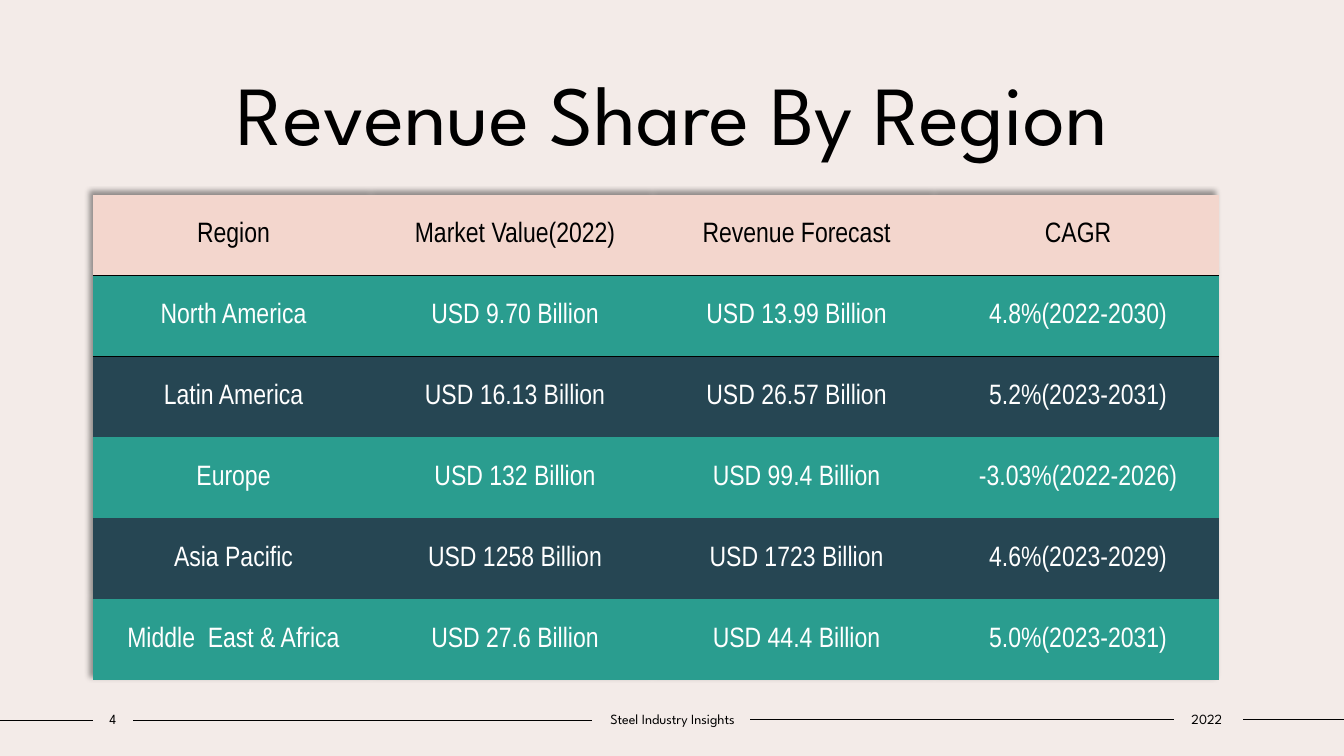
"""Build the steel revenue by region slide."""
from lxml import etree
from pptx import Presentation
from pptx import util as u
from pptx.dml.color import RGBColor
from pptx.enum import shapes, text
from pptx.oxml import parse_xml
from pptx.oxml.ns import qn

BLACK = RGBColor(0x00, 0x00, 0x00)
WHITE = RGBColor(0xFF, 0xFF, 0xFF)
CREAM = RGBColor(0xF3, 0xEB, 0xE8)
PINK = RGBColor(0xF3, 0xD6, 0xCD)
TEAL = RGBColor(0x2A, 0x9D, 0x8F)
NAVY = RGBColor(0x26, 0x46, 0x53)
NS = 'xmlns:a="http://schemas.openxmlformats.org/drawingml/2006/main"'
TABLE_SHADOW = (
    f'<a:effectLst {NS}><a:outerShdw blurRad="50800" dist="38100" dir="13500000" algn="br">'
    '<a:srgbClr val="000000"><a:alpha val="40000"/></a:srgbClr></a:outerShdw></a:effectLst>')

ROWS = [
    ("Region", "Market Value(2022)", "Revenue Forecast", "CAGR"),
    ("North America", "USD 9.70 Billion", "USD 13.99 Billion", "4.8%(2022-2030)"),
    ("Latin America", "USD 16.13 Billion", "USD 26.57 Billion", "5.2%(2023-2031)"),
    ("Europe", "USD 132 Billion", "USD 99.4 Billion", "-3.03%(2022-2026)"),
    ("Asia Pacific", "USD 1258 Billion", "USD 1723 Billion", "4.6%(2023-2029)"),
    ("Middle  East & Africa", "USD 27.6 Billion", "USD 44.4 Billion", "5.0%(2023-2031)"),
]
FOOTER_TEXTS = [("4", 0.92, 0.4), ("Steel Industry Insights", 5.87, 1.6), ("2022", 11.62, 0.7)]
FOOTER_LINES = [(0, 0.92, 7.15), (1.32, 5.87, 7.15), (7.44, 11.64, 7.14), (12.33, 13.33, 7.14)]


def write(tf, content, size=10, font="League Spartan", color=BLACK):
    p = tf.paragraphs[0]
    p.alignment = text.PP_ALIGN.CENTER
    r = p.add_run()
    r.text = content
    r.font.size = u.Pt(size)
    r.font.name = font
    r.font.color.rgb = color


def add_border(cell, side, width=1.5):
    cell._tc.get_or_add_tcPr().insert(0, parse_xml(
        f'<a:{side} {NS} w="{u.Pt(width)}"><a:solidFill><a:srgbClr val="{BLACK}"/>'
        f'</a:solidFill></a:{side}>'))


class SlideBuilder:
    def __init__(self, prs):
        self.slide = prs.slides.add_slide(prs.slide_layouts[5])
        fill = self.slide.background.fill
        fill.solid()
        fill.fore_color.rgb = CREAM

    def title(self, content, x, y, w, h):
        sp = self.slide.shapes.title
        sp.left, sp.top, sp.width, sp.height = map(u.Inches, (x, y, w, h))
        tf = sp.text_frame
        tf.auto_size = text.MSO_AUTO_SIZE.NONE
        tf.vertical_anchor = text.MSO_ANCHOR.MIDDLE
        write(tf, content, size=60)

    def line(self, x1, x2, y):
        cxn = self.slide.shapes.add_connector(
            shapes.MSO_CONNECTOR.STRAIGHT, *map(u.Inches, (x1, y, x2, y)))
        cxn.line.color.rgb = BLACK
        cxn.line.width = u.Pt(1)
        etree.SubElement(cxn._element.spPr, qn("a:effectLst"))

    def label(self, content, x, y, w, h):
        tf = self.slide.shapes.add_textbox(*map(u.Inches, (x, y, w, h))).text_frame
        tf.word_wrap = True
        tf.margin_left = tf.margin_right = 0
        tf.vertical_anchor = text.MSO_ANCHOR.MIDDLE
        write(tf, content)

    def table(self, rows, x, y, w, h):
        frame = self.slide.shapes.add_table(
            len(rows), len(rows[0]), *map(u.Inches, (x, y, w, h)))
        tbl = frame.table
        tbl.horz_banding = False
        tbl._tbl.tblPr.insert(0, parse_xml(TABLE_SHADOW))
        for i, row in enumerate(rows):
            back = PINK if i == 0 else TEAL if i % 2 else NAVY
            for j, content in enumerate(row):
                cell = tbl.cell(i, j)
                cell.fill.solid()
                cell.fill.fore_color.rgb = back
                cell.vertical_anchor = text.MSO_ANCHOR.MIDDLE
                write(cell.text_frame, content, size=20, font="Arial Narrow",
                      color=WHITE if i else BLACK)
                for side in {0: ["lnB"], 1: ["lnT"]}.get(i, []):
                    add_border(cell, side)
        tbl._tbl.tblPr.find(qn("a:tableStyleId")).text = "{2D5ABB26-0587-4C30-8999-92F81FD0307C}"


def main():
    prs = Presentation()
    prs.slide_width, prs.slide_height = u.Inches(13.33), u.Inches(7.5)
    s = SlideBuilder(prs)
    for x1, x2, y in FOOTER_LINES:
        s.line(x1, x2, y)
    s.title("Revenue Share By Region", 1.25, 0.56, 10.84, 1.11)
    s.table(ROWS, 0.92, 1.93, 11.17, 4.82)
    for content, x, w in FOOTER_TEXTS:
        s.label(content, x, 7, w, 0.27)
    prs.save("out.pptx")


if __name__ == "__main__":
    main()
